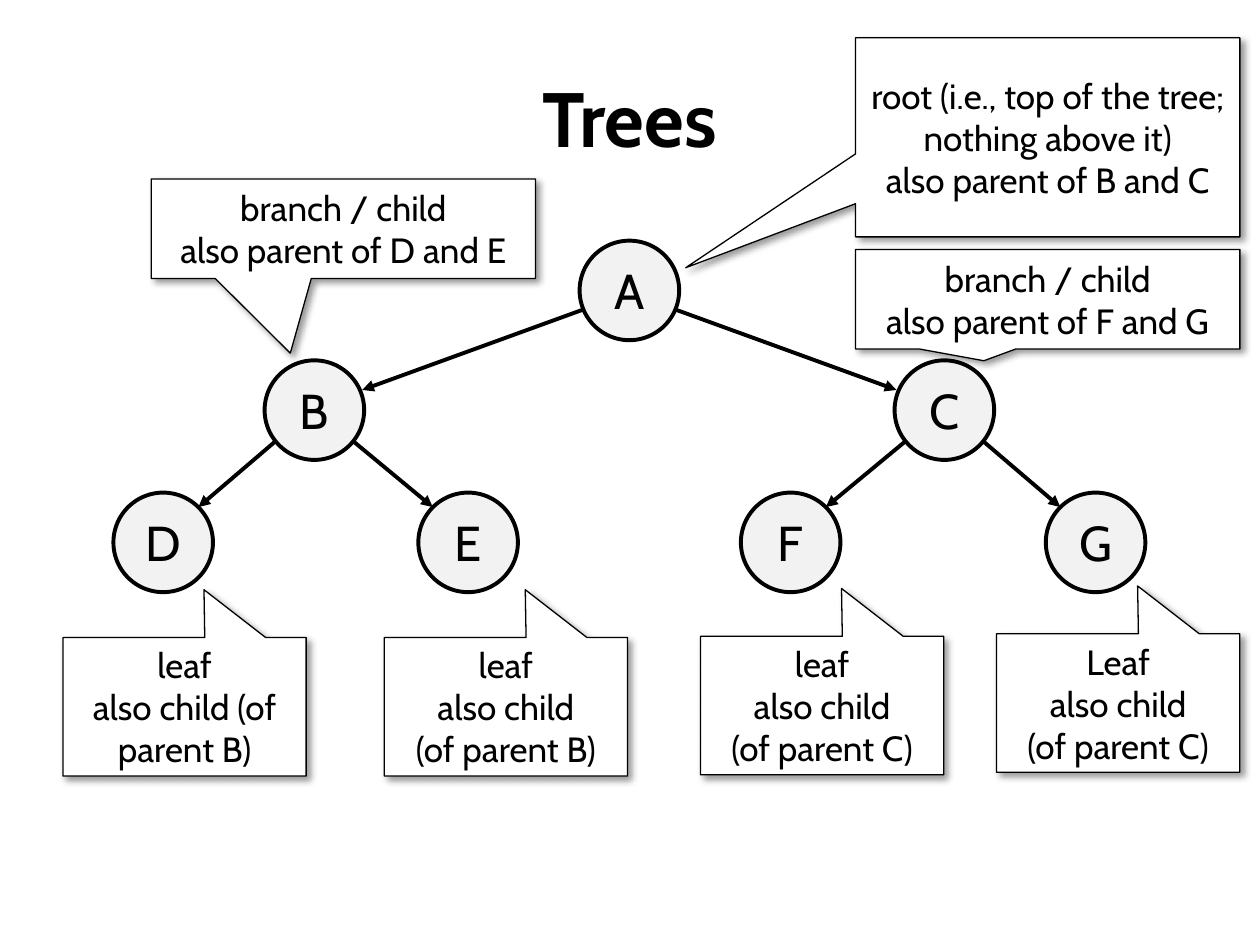
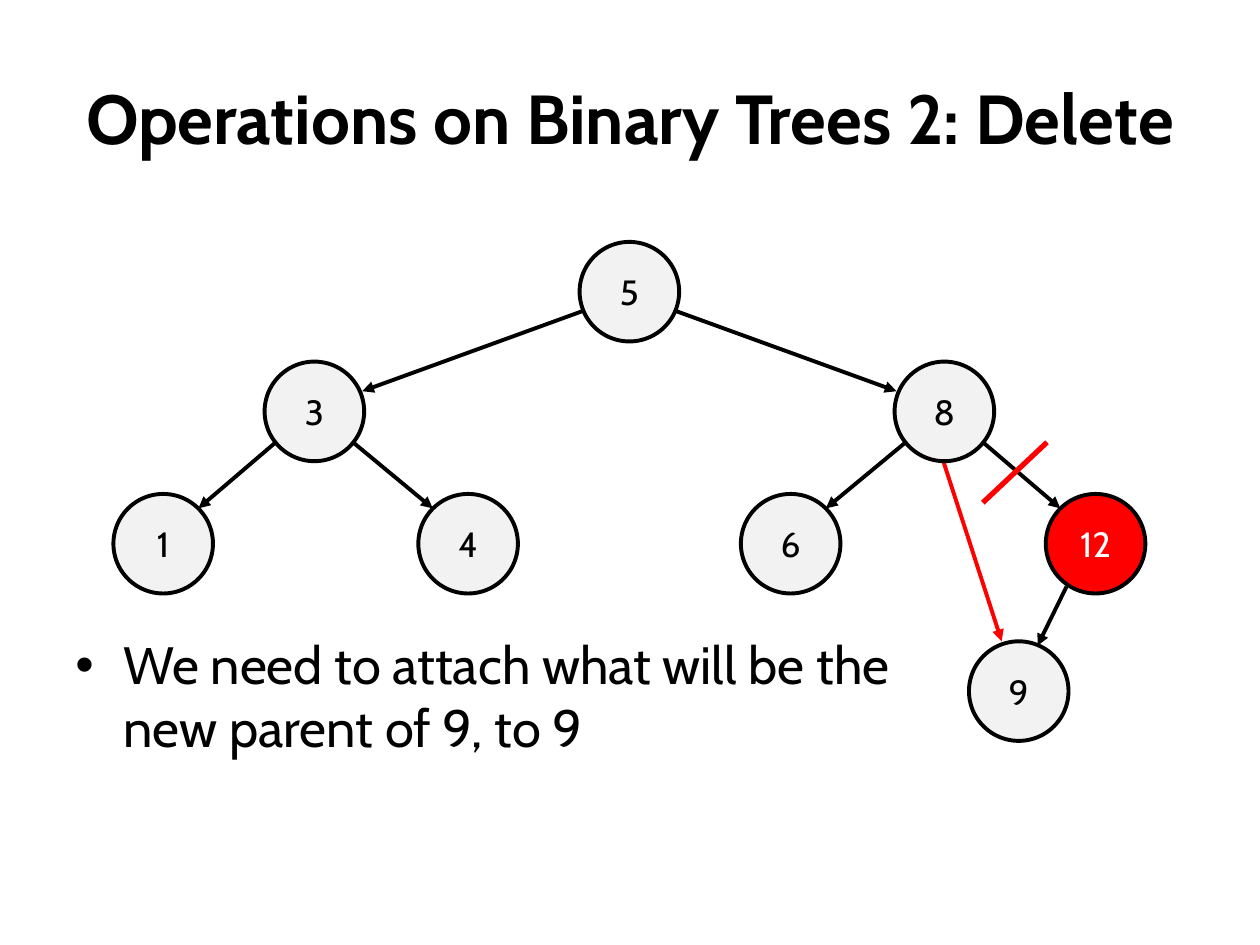
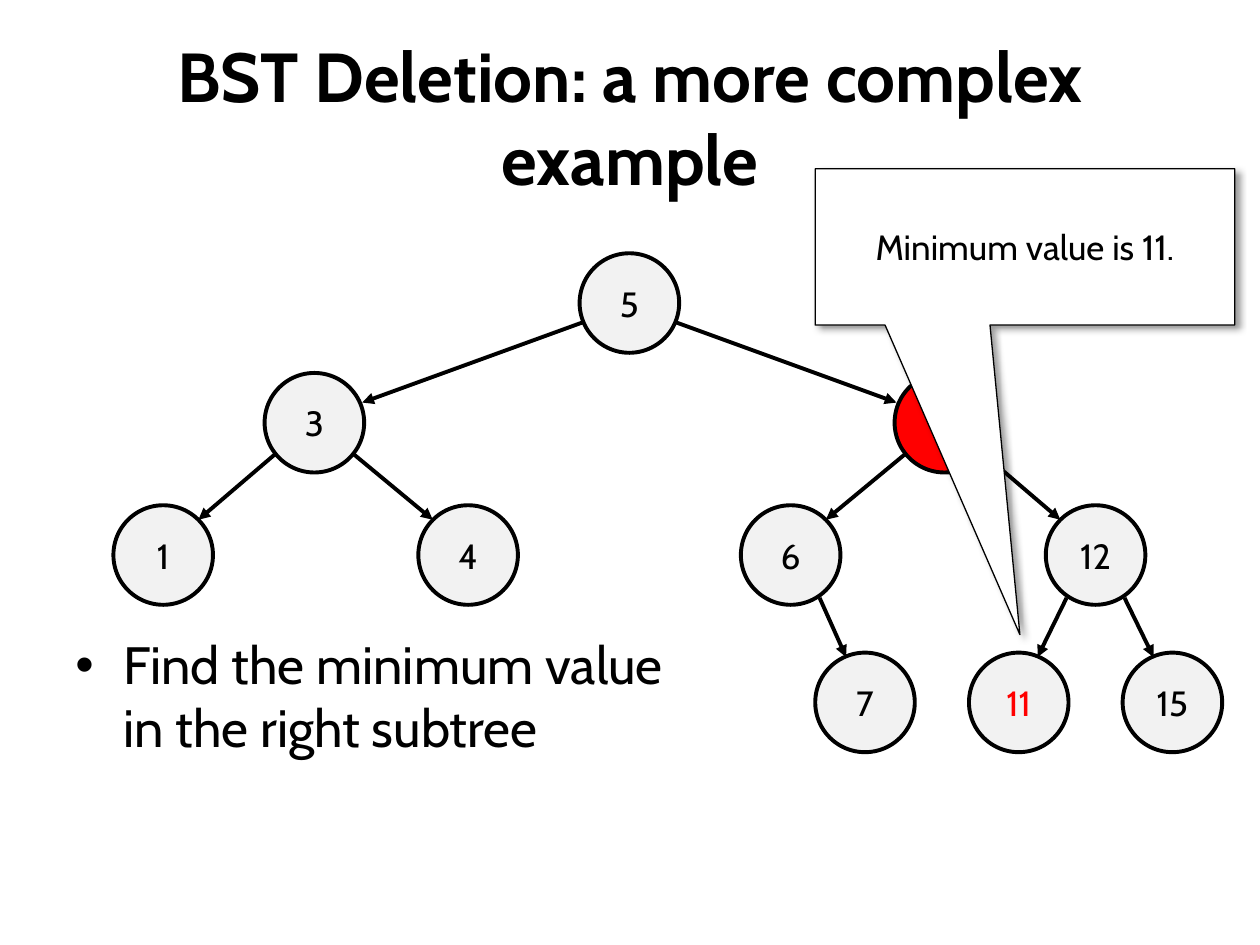
"""Builds three slides on binary trees, with callouts and notes on deletion."""
from dataclasses import dataclass
from lxml import etree
from pptx import Presentation
from pptx import util as u
from pptx.dml.color import RGBColor
from pptx.enum import shapes as sh, text as tx
from pptx.oxml.ns import qn


@dataclass(frozen=True)
class Theme:
    """Colours, font and sizes shared by the slides."""
    font: str = "Cabin"
    ink: str = "000000"
    paper: str = "FFFFFF"
    node: str = "F2F2F2"
    alert: str = "FF0000"
    head: float = 44
    long: float = 39.6
    body: float = 30
    big: float = 28
    small: float = 20
    edge: float = 2.25
    thin: float = 0.75
    cut: float = 3


T = Theme()
SIZE = 0.79
LEFT = {"": 4.6, "L": 2.1, "R": 7.1, "LL": 0.9, "LR": 3.32, "RL": 5.88, "RR": 8.3,
        "RLR": 6.47, "RRL": 7.69, "RRR": 8.91}
DROP = [0, 0.95, 2, 3.17]
HOOKS = {1: (0.36, 0.15, 0.38, 0.16), 2: (0.3, 0.24, 0.28, 0.28), 3: (0.23, 0.34, 0.15, 0.36)}
WIDE, LEAF = (3.05, 0.79), (1.93, 1.1)
TIP = (0.08, -0.845)

SLIDES = [
    {"title": "Trees", "size": T.head, "top": 1.91, "label": T.big,
     "nodes": {"": "A", "L": "B", "R": "C", "LL": "D", "LR": "E", "RL": "F", "RR": "G"},
     "calls": [
         ((6.79, 0.3), (3.05, 1.58), (-0.942, 0.655),
          ["root (i.e., top of the tree; nothing above it)", "also parent of B and C"]),
         ((1.2, 1.42), WIDE, (-0.138, 1.25), ["branch / child", "also parent of D and E"]),
         ((6.79, 1.98), WIDE, (-0.166, 0.618), ["branch / child", "also parent of F and G"]),
         ((0.5, 5.06), LEAF, TIP, ["leaf", "also child (of parent B)"]),
         ((3.05, 5.06), LEAF, TIP, ["leaf", "also child", "(of parent B)"]),
         ((5.56, 5.05), LEAF, TIP, ["leaf", "also child", "(of parent C)"]),
         ((7.91, 5.03), LEAF, TIP, ["Leaf", "also child", "(of parent C)"])]},
    {"title": "Operations on Binary Trees 2: Delete", "size": T.long, "top": 1.92, "label": T.small,
     "nodes": {"": "5", "L": "3", "R": "8", "LL": "1", "LR": "4", "RL": "6", "RR": "12", "RRL": "9"},
     "fills": {"RR": T.alert}, "inks": {"RR": T.paper},
     "link": ((7.49, 3.67), (7.95, 5.09)), "cut": ((7.8, 3.99), (8.31, 3.51)),
     "note": ["We need to attach what will be the", "new parent of 9, to 9"]},
    {"title": "BST Deletion: a more complex example", "size": T.long, "top": 2.01, "label": T.small,
     "nodes": {"": "5", "L": "3", "R": "", "LL": "1", "LR": "4", "RL": "6", "RR": "12",
               "RLR": "7", "RRL": "11", "RRR": "15"},
     "fills": {"R": T.alert}, "inks": {"RRL": T.alert},
     "note": ["Find the minimum value", "in the right subtree"],
     "calls": [((6.47, 1.34), (3.33, 1.24), (-0.012, 2.481), ["Minimum value is 11."])]},
]


def rgb(code):
    """Turn a hex code into a colour."""
    return RGBColor.from_string(code)


def inch(*nums):
    """Turn numbers into lengths."""
    return [u.Inches(n) for n in nums]


def sub(root, tag, **attrs):
    """Add an XML child with attributes."""
    return etree.SubElement(root, qn(tag), {k: str(v) for k, v in attrs.items()})


def write(para, words, size, ink=T.ink, bold=False):
    """Add one styled run."""
    run = para.add_run()
    run.text = words
    run.font.name, run.font.size, run.font.bold = T.font, u.Pt(size), bold
    run.font.color.rgb = rgb(ink)


def fill(frame, lines, size, ink=T.ink, bold=False):
    """Write centred paragraphs in the middle of a frame."""
    frame.word_wrap = True
    frame.auto_size = tx.MSO_AUTO_SIZE.NONE
    frame.vertical_anchor = tx.MSO_ANCHOR.MIDDLE
    for i, words in enumerate(lines):
        para = frame.add_paragraph() if i else frame.paragraphs[0]
        para.alignment = tx.PP_ALIGN.CENTER
        write(para, words, size, ink, bold)


def shape(slide, kind, box, paint, width):
    """Add a flat filled and outlined shape."""
    item = slide.shapes.add_shape(kind, *inch(*box))
    item.shadow.inherit = False
    item.fill.solid()
    item.fill.fore_color.rgb = rgb(paint)
    item.line.color.rgb = rgb(T.ink)
    item.line.width = u.Pt(width)
    return item


def line(slide, start, end, ink=T.ink, width=T.edge, arrow=True):
    """Draw a straight line or arrow."""
    item = slide.shapes.add_connector(sh.MSO_CONNECTOR.STRAIGHT, *inch(*start, *end))
    item.line.color.rgb = rgb(ink)
    item.line.width = u.Pt(width)
    if arrow:
        sub(item.line._get_or_add_ln(), "a:tailEnd", type="triangle")
    sub(item._element.spPr, "a:effectLst")


def tree(slide, data):
    """Draw the nodes, and an arrow to each from its parent."""
    spots = {key: (LEFT[key], data["top"] + DROP[len(key)]) for key in data["nodes"]}
    for key, (x, y) in spots.items():
        paint = data.get("fills", {}).get(key, T.node)
        item = shape(slide, sh.MSO_SHAPE.OVAL, (x, y, SIZE, SIZE), paint, T.edge)
        label = data["nodes"][key]
        if label:
            fill(item.text_frame, [label], data["label"], data.get("inks", {}).get(key, T.ink))
    for key in filter(None, spots):
        (px, py), (x, y) = spots[key[:-1]], spots[key]
        side = -1 if key[-1] == "L" else 1
        ax, ay, bx, by = HOOKS[len(key)]
        mid = SIZE / 2
        line(slide, (px + mid + side * ax, py + mid + ay), (x + mid - side * bx, y + mid - by))


def call(slide, spot, size, tip, lines):
    """Add a callout with a soft shadow."""
    item = shape(slide, sh.MSO_SHAPE.RECTANGULAR_CALLOUT, (*spot, *size), T.paper, T.thin)
    item.adjustments[0], item.adjustments[1] = tip
    glow = sub(item._element.spPr.find(qn("a:effectLst")), "a:outerShdw", blurRad=u.Pt(4),
               dist=u.Pt(3), dir=45 * 60000, algn="tl", rotWithShape=0)
    sub(sub(glow, "a:srgbClr", val=T.ink), "a:alpha", val=40000)
    fill(item.text_frame, lines, T.small)


def note(slide, lines):
    """Add the bulleted note below the tree."""
    frame = slide.shapes.add_textbox(*inch(0.5, 4.97, 9, 2.18)).text_frame
    frame.word_wrap = True
    para = frame.paragraphs[0]
    para.space_before = u.Pt(T.body * 0.2)
    props = para._p.get_or_add_pPr()
    props.set("marL", str(u.Inches(0.38)))
    props.set("indent", str(-u.Inches(0.38)))
    sub(props, "a:buFont", typeface="Arial")
    sub(props, "a:buChar", char="•")
    for i, words in enumerate(lines):
        if i:
            para.add_line_break()
        write(para, words, T.body)


def build(deck, data):
    """Build one slide."""
    slide = deck.slides.add_slide(deck.slide_layouts[5])
    title = slide.shapes.title
    title.left, title.top, title.width, title.height = inch(0.5, 0.3, 9, 1.25)
    fill(title.text_frame, [data["title"]], data["size"], bold=True)
    if "link" in data:
        line(slide, *data["link"], ink=T.alert)
    tree(slide, data)
    if "note" in data:
        note(slide, data["note"])
    if "cut" in data:
        line(slide, *data["cut"], ink=T.alert, width=T.cut, arrow=False)
    for item in data.get("calls", []):
        call(slide, *item)


def main():
    """Build and save the deck."""
    deck = Presentation()
    deck.slide_width, deck.slide_height = inch(10, 7.5)
    for data in SLIDES:
        build(deck, data)
    deck.save("out.pptx")


if __name__ == "__main__":
    main()
